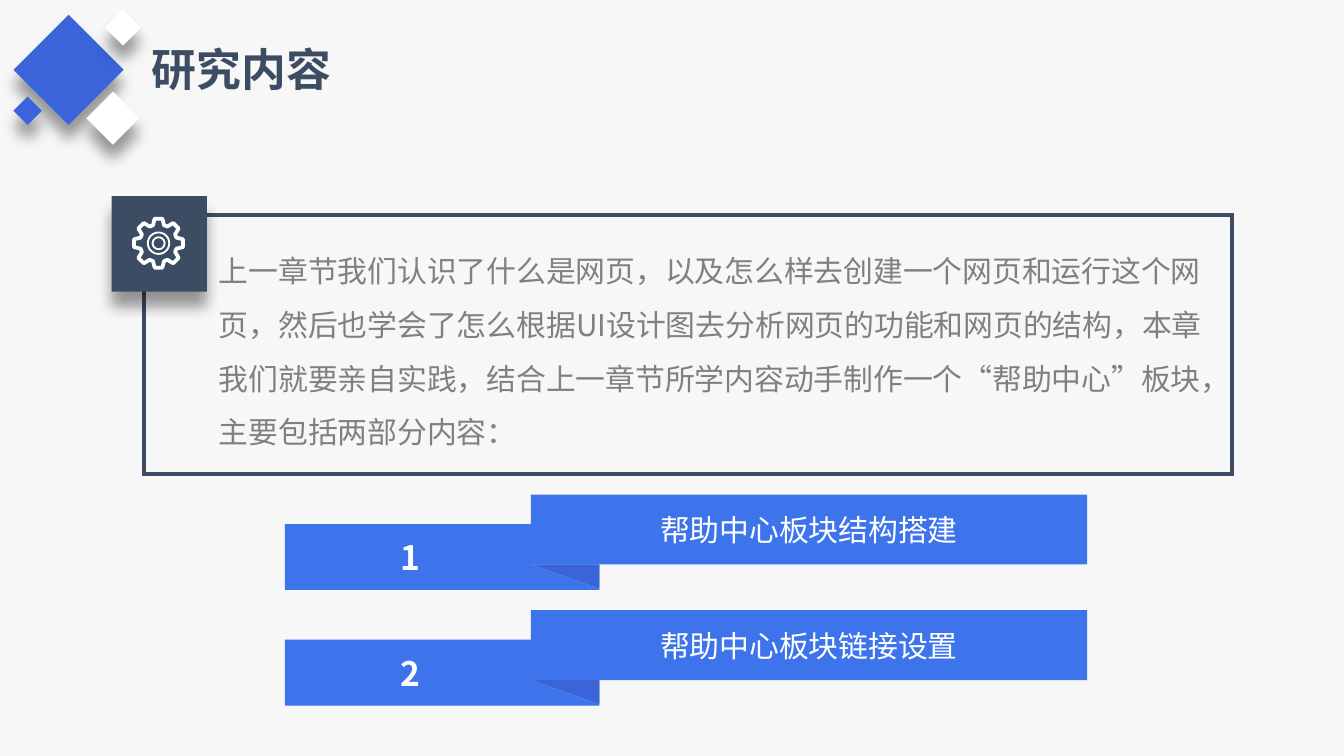
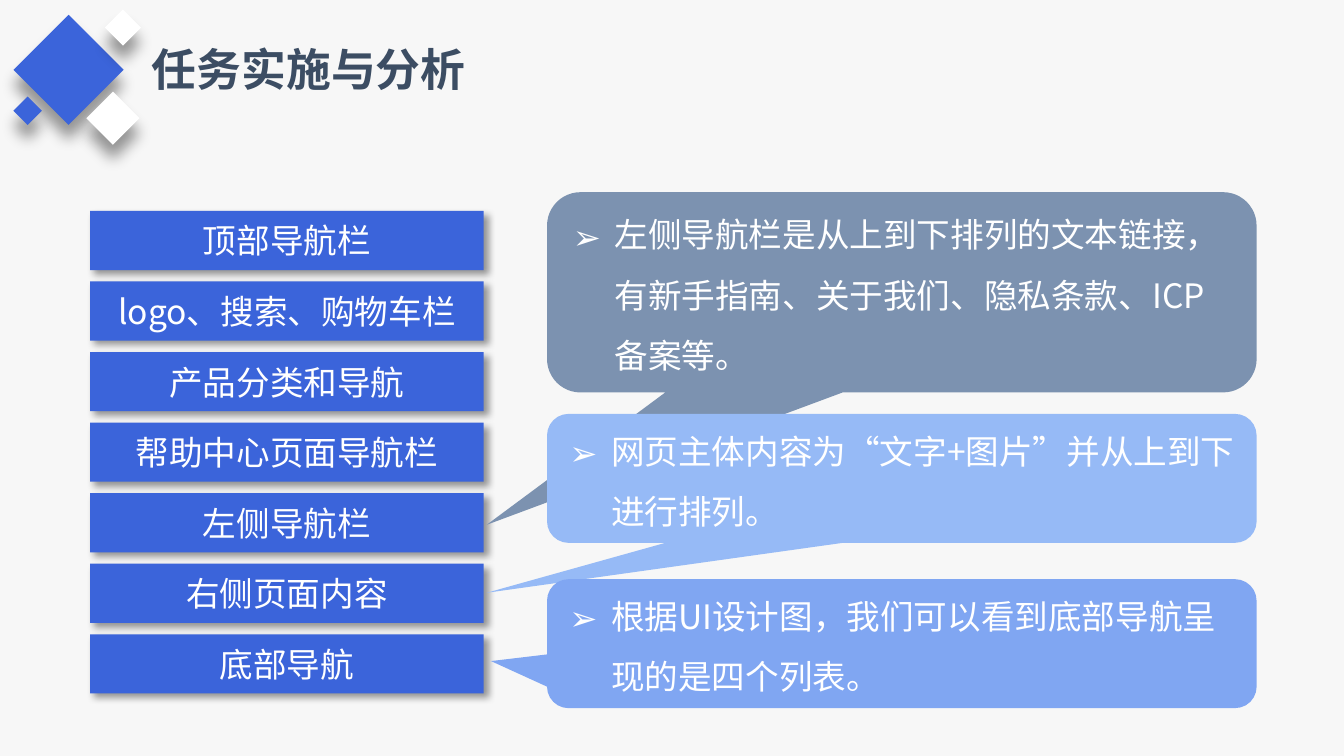
from math import cos, radians, sin

from lxml.etree import SubElement
from pptx import Presentation
from pptx.dml.color import RGBColor
from pptx.enum.shapes import MSO_SHAPE as Shape
from pptx.enum.text import MSO_ANCHOR as Anchor, MSO_AUTO_SIZE as AutoSize, PP_ALIGN as Align
from pptx.oxml.ns import qn
from pptx.util import Inches, Pt

FONT = "Noto Sans CJK SC"
BACKGROUND = RGBColor(0xF7, 0xF7, 0xF7)
WHITE = RGBColor(0xFF, 0xFF, 0xFF)
SILVER = RGBColor(0xCC, 0xCC, 0xCC)
GRAY = RGBColor(0x80, 0x80, 0x80)
NAVY = RGBColor(0x3C, 0x4D, 0x63)
ROYAL = RGBColor(0x3B, 0x64, 0xDA)
BRIGHT = RGBColor(0x3D, 0x74, 0xEB)
SLATE = RGBColor(0x7C, 0x92, 0xB0)
SKY = RGBColor(0x96, 0xBA, 0xF6)
PERIWINKLE = RGBColor(0x80, 0xA6, 0xF2)

# blur, distance (points) and direction (degrees)
DEEP_SHADOW = (8, 8, 90)
SOFT_SHADOW = (4, 3, 45)

INTRO = (
    "上一章节我们认识了什么是网页，以及怎么样去创建一个网页和运行这个网页，"
    "然后也学会了怎么根据UI设计图去分析网页的功能和网页的结构，"
    "本章我们就要亲自实践，结合上一章节所学内容动手制作一个“帮助中心”板块，"
    "主要包括两部分内容："
)
PARTS = ["帮助中心板块结构搭建", "帮助中心板块链接设置"]
PAGE_SECTIONS = [
    "顶部导航栏", "logo、搜索、购物车栏", "产品分类和导航", "帮助中心页面导航栏",
    "左侧导航栏", "右侧页面内容", "底部导航",
]
# top, height, pointer offset, fill, text
CALLOUTS = [
    (0, 1.49, (-0.585, 1.161), SLATE,
     "左侧导航栏是从上到下排列的文本链接，有新手指南、关于我们、隐私条款、ICP备案等。"),
    (1.65, 0.96, (-0.585, 0.887), SKY,
     "网页主体内容为“文字+图片”并从上到下进行排列。"),
    (2.88, 0.96, (-0.579, 0.135), PERIWINKLE,
     "根据UI设计图，我们可以看到底部导航呈现的是四个列表。"),
]


def apply_format(target, values):
    for name, value in values.items():
        setattr(target, name, value)


def add_shadow(shape, blur, distance, direction):
    effects = shape._element.spPr.find(qn("a:effectLst"))
    shadow = SubElement(
        effects, qn("a:outerShdw"), blurRad=str(Pt(blur)), dist=str(Pt(distance)),
        dir=str(direction * 60000), algn="ctr", rotWithShape="0")
    color = SubElement(shadow, qn("a:srgbClr"), val="000000")
    SubElement(color, qn("a:alpha"), val="40000")


def paint(shape, fill=None, line=None, width=0, shadow=None):
    shape.shadow.inherit = False
    if fill is None:
        shape.fill.background()
    else:
        shape.fill.solid()
        shape.fill.fore_color.rgb = fill
    if line is None:
        shape.line.fill.background()
    else:
        shape.line.color.rgb = line
        shape.line.width = Pt(width)
    if shadow:
        add_shadow(shape, *shadow)
    return shape


def add_block(slide, kind, box, **style):
    """Add a painted preset shape at box = (left, top, width, height) in inches."""
    return paint(slide.shapes.add_shape(kind, *map(Inches, box)), **style)


def write(shape, text, size, color, bold=False, align=Align.CENTER,
          anchor=Anchor.MIDDLE, margins=(0.1, 0.05, 0.1, 0.05), wrap=True,
          spacing=None, bullet=None, indent=0):
    """Fill the shape with one paragraph; margins are left, top, right, bottom."""
    left, top, right, bottom = map(Inches, margins)
    frame = shape.text_frame
    apply_format(frame, {
        "auto_size": AutoSize.NONE, "word_wrap": wrap, "vertical_anchor": anchor,
        "margin_left": left, "margin_top": top,
        "margin_right": right, "margin_bottom": bottom,
    })
    paragraph = frame.paragraphs[0]
    if bullet:
        properties = paragraph._p.get_or_add_pPr()
        properties.set("marL", str(Inches(indent)))
        properties.set("indent", str(-Inches(indent)))
        SubElement(properties, qn("a:buFont"), typeface=FONT)
        SubElement(properties, qn("a:buChar"), char=bullet)
    apply_format(paragraph, {"alignment": align, "line_spacing": spacing})
    run = paragraph.add_run()
    run.text = text
    apply_format(run.font, {"name": FONT, "size": Pt(size), "bold": bold})
    run.font.color.rgb = color
    SubElement(run._r.get_or_add_rPr(), qn("a:ea"), typeface=FONT)


def add_polygon(slide, points, **style):
    corners = [(Inches(x), Inches(y)) for x, y in points]
    builder = slide.shapes.build_freeform(*corners[0], scale=1.0)
    builder.add_line_segments(corners[1:], close=True)
    return paint(builder.convert_to_shape(), **style)


def add_titled_slide(presentation, title, title_width):
    slide = presentation.slides.add_slide(presentation.slide_layouts[5])
    placeholder = slide.shapes.title
    apply_format(placeholder, {
        "left": Inches(1.03), "top": Inches(0.26),
        "width": Inches(title_width), "height": Inches(0.5),
    })
    write(placeholder, title, 24, NAVY, bold=True, align=Align.LEFT, wrap=False)
    for left, top, side, fill in [
        (0.22, 0.23, 0.58, ROYAL), (0.7, 0.74, 0.28, WHITE),
        (0.82, 0.11, 0.19, WHITE), (0.13, 0.75, 0.15, ROYAL),
    ]:
        diamond = add_block(slide, Shape.RECTANGLE, (left, top, side, side),
                            fill=fill, shadow=DEEP_SHADOW)
        diamond.rotation = 45
    return slide


def add_gear(slide, center_x, center_y):
    tooth = [(-17, 0.14), (-9, 0.185), (9, 0.185), (17, 0.14)]
    outline = [
        (center_x + radius * cos(radians(turn + offset)),
         center_y + radius * sin(radians(turn + offset)))
        for turn in range(0, 360, 45) for offset, radius in tooth
    ]
    add_polygon(slide, outline, line=WHITE, width=2)
    for diameter in (0.16, 0.09):
        box = (center_x - diameter / 2, center_y - diameter / 2, diameter, diameter)
        add_block(slide, Shape.OVAL, box, line=WHITE, width=1)


def add_intro_panel(slide, left, top, width, height):
    frame = add_block(slide, Shape.RECTANGLE, (left, top, width, height),
                      line=NAVY, width=2.25)
    SubElement(frame._element.spPr.find(qn("a:ln")), qn("a:miter"), lim="800000")
    add_block(slide, Shape.RECTANGLE, (left - 0.24, top - 0.14, 0.71, 0.71),
              fill=NAVY, shadow=DEEP_SHADOW)
    text_box = slide.shapes.add_textbox(
        *map(Inches, (left + 0.46, top + 0.1, width - 0.54, height - 0.21)))
    write(text_box, INTRO, 16, GRAY, align=Align.LEFT, anchor=Anchor.TOP, spacing=1.5)
    add_gear(slide, left + 0.11, top + 0.21)


def add_ribbon(slide, left, top, number, text):
    """Add a numbered tab, the banner over it and the fold between them."""
    tab_width, banner_height = 2.34, 0.52
    banner_left, banner_bottom = left + 1.83, top + banner_height
    tab = add_block(slide, Shape.RECTANGLE, (left, top + 0.22, tab_width, 0.49), fill=BRIGHT)
    write(tab, str(number), 18, WHITE, bold=True, margins=(0, 0, 0.47, 0))
    banner = add_block(slide, Shape.RECTANGLE, (banner_left, top, 4.14, banner_height),
                       fill=BRIGHT)
    write(banner, text, 16, WHITE)
    right = left + tab_width
    fold = [(right, banner_bottom), (banner_left, banner_bottom),
            (right, banner_bottom + 0.18)]
    for fill in (SILVER, ROYAL):
        add_polygon(slide, fold, fill=fill)


def add_section_stack(slide, left, top, width):
    for index, name in enumerate(PAGE_SECTIONS):
        bar = add_block(slide, Shape.RECTANGLE, (left, top + index * 0.525, width, 0.44),
                        fill=ROYAL, shadow=SOFT_SHADOW)
        write(bar, name, 18, WHITE)


def add_callouts(slide, left, top, width):
    for offset, height, pointer, fill, text in CALLOUTS:
        callout = add_block(slide, Shape.ROUNDED_RECTANGULAR_CALLOUT,
                            (left, top + offset, width, height), fill=fill)
        for index, value in enumerate((*pointer, 0.167)):
            callout.adjustments[index] = value
        write(callout, text, 18, WHITE, align=Align.LEFT, spacing=1.5,
              margins=(0.12, 0.05, 0.1, 0.16), bullet="➢", indent=0.31)


def build_content_slide(presentation):
    slide = add_titled_slide(presentation, "研究内容", 1.54)
    add_intro_panel(slide, 1.07, 1.6, 8.1, 1.93)
    for index, text in enumerate(PARTS):
        add_ribbon(slide, 2.12, 3.68 + index * 0.86, index + 1, text)


def build_analysis_slide(presentation):
    slide = add_titled_slide(presentation, "任务实施与分析", 2.54)
    add_section_stack(slide, 0.67, 1.57, 2.93)
    add_callouts(slide, 4.07, 1.43, 5.28)


def main():
    presentation = Presentation()
    presentation.slide_width = Inches(10)
    presentation.slide_height = Inches(10) * 9 // 16
    background = presentation.slide_master.background.fill
    background.solid()
    background.fore_color.rgb = BACKGROUND
    build_content_slide(presentation)
    build_analysis_slide(presentation)
    presentation.save("out.pptx")


if __name__ == "__main__":
    main()
